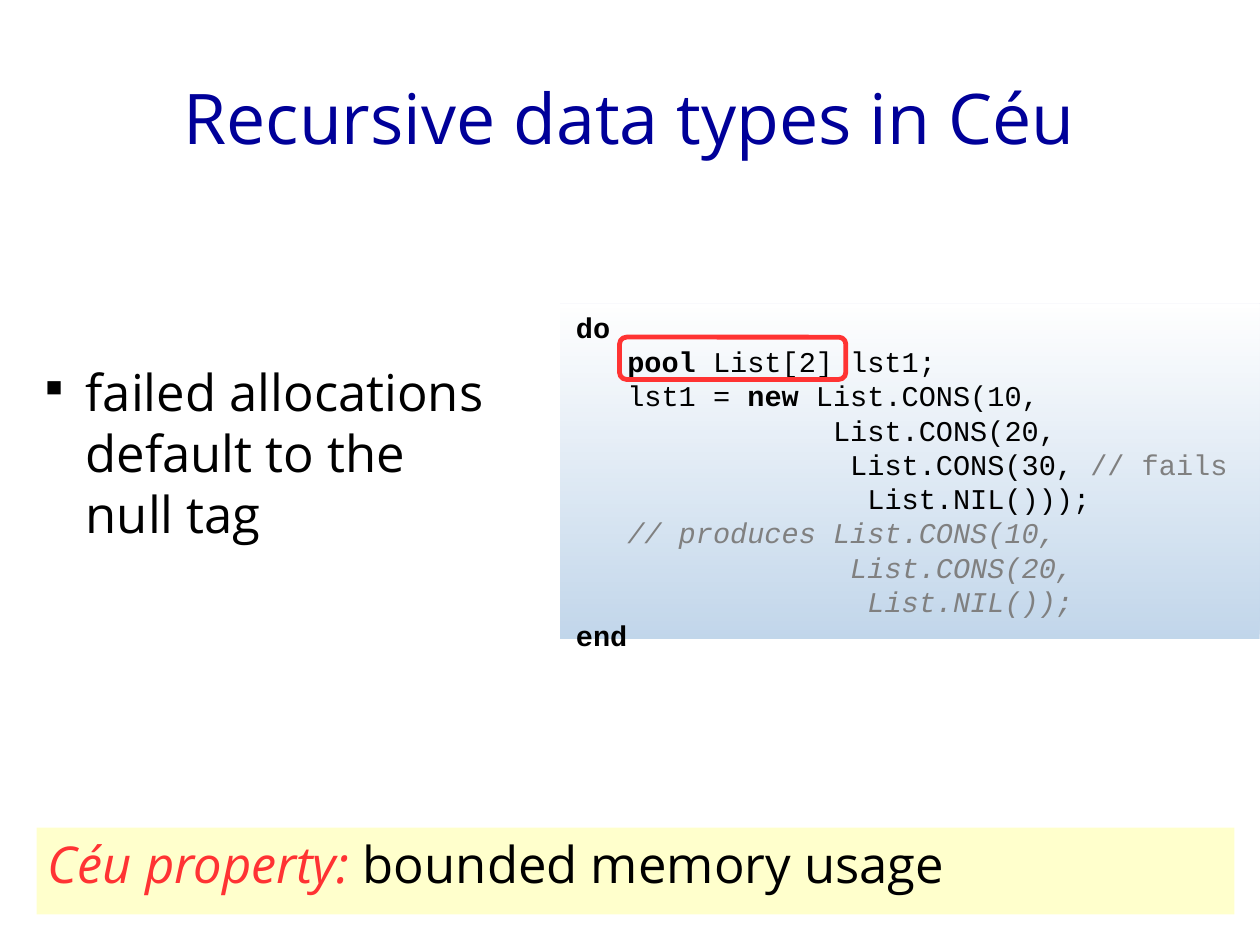
from dataclasses import dataclass

import pptx
import pptx.dml.color
import pptx.enum.shapes
import pptx.enum.text
import pptx.oxml
import pptx.oxml.ns
import pptx.util
from pptx.util import Inches

ALIGN = pptx.enum.text.PP_ALIGN
ANCHOR = pptx.enum.text.MSO_ANCHOR
SHAPE = pptx.enum.shapes.MSO_SHAPE
NS = pptx.oxml.ns.nsdecls("a")
CM_PER_INCH = 2.54


@dataclass(frozen=True)
class Theme:
    sans: str = "Open Sans"
    mono: str = "Courier New"
    title_size: int = 44
    body_size: int = 32
    code_size: int = 18
    black: str = "000000"
    navy: str = "000099"
    red: str = "FF3333"
    gray: str = "808080"
    yellow: str = "FFFFCC"
    blue: str = "6699CC"
    white: str = "FFFFFF"


@dataclass(frozen=True)
class Box:
    left: float
    top: float
    width: float
    height: float

    def emu(self) -> tuple:
        return tuple(Inches(v) for v in (self.left, self.top, self.width, self.height))


@dataclass(frozen=True)
class Span:
    text: str
    bold: bool = False
    italic: bool = False
    color: str = Theme.black


THEME = Theme()


def rgb(color: str) -> pptx.dml.color.RGBColor:
    return pptx.dml.color.RGBColor.from_string(color)


def add_text(slide, box: Box, paragraphs: list, *, size: int, font: str,
             align=ALIGN.LEFT, anchor=ANCHOR.TOP, margins=(0.1, 0.05)):
    """Add a text box; each paragraph is a list of spans, "\n" breaks a line."""
    tf = slide.shapes.add_textbox(*box.emu()).text_frame
    tf.word_wrap = True
    tf.vertical_anchor = anchor
    tf.margin_left = tf.margin_right = Inches(margins[0])
    tf.margin_top = tf.margin_bottom = Inches(margins[1])
    for i, spans in enumerate(paragraphs):
        p = tf.add_paragraph() if i else tf.paragraphs[0]
        p.alignment = align
        for span in spans:
            for j, line in enumerate(span.text.split("\n")):
                if j:
                    p.add_line_break()
                r = p.add_run()
                r.text = line
                r.font.name = font
                r.font.size = pptx.util.Pt(size)
                r.font.bold = span.bold
                r.font.italic = span.italic
                r.font.color.rgb = rgb(span.color)
        # Line breaks take the size of their text
        for br in p._p.findall(pptx.oxml.ns.qn("a:br")):
            br.append(pptx.oxml.parse_xml(f'<a:rPr {NS} sz="{size * 100}"/>'))
    return tf


def add_panel(slide, box: Box, kind=SHAPE.RECTANGLE, fill: str = "", line: str = ""):
    sp = slide.shapes.add_shape(kind, *box.emu())
    sp.shadow.inherit = False
    if fill:
        sp.fill.solid()
        sp.fill.fore_color.rgb = rgb(fill)
    else:
        sp.fill.background()
    if line:
        sp.line.color.rgb = rgb(line)
        sp.line.width = pptx.util.Pt(3)
    else:
        sp.line.fill.background()
    return sp


def set_gradient(sp, bottom: str, top: str, opacity: int) -> None:
    """Fill a shape from bottom to top with translucent colours."""
    stops = "".join(
        f'<a:gs pos="{pos}"><a:srgbClr val="{color}">'
        f'<a:alpha val="{opacity * 1000}"/></a:srgbClr></a:gs>'
        for pos, color in ((0, bottom), (100000, top)))
    grad = pptx.oxml.parse_xml(
        f'<a:gradFill {NS} rotWithShape="1"><a:gsLst>{stops}</a:gsLst>'
        '<a:lin ang="16200000" scaled="0"/></a:gradFill>')
    sp_pr = sp._element.spPr
    sp_pr.replace(sp_pr.find(pptx.oxml.ns.qn("a:noFill")), grad)


def set_bullet(p, indent: float, hanging: float) -> None:
    p_pr = p._p.get_or_add_pPr()
    p_pr.set("marL", str(Inches(indent)))
    p_pr.set("indent", str(-Inches(hanging)))
    for xml in (f'<a:buClr {NS}><a:srgbClr val="{THEME.black}"/></a:buClr>',
                f'<a:buSzPct {NS} val="45000"/>',
                f'<a:buChar {NS} char="■"/>'):
        p_pr.append(pptx.oxml.parse_xml(xml))
    p.space_after = pptx.util.Pt(14.2)


CODE = [
    [Span("do", bold=True)],
    [Span("   "), Span("pool", bold=True), Span(" List[2] lst1;")],
    [Span("   lst1 = "), Span("new", bold=True), Span(" List.CONS(10,")],
    [Span("               List.CONS(20,")],
    [Span("                List.CONS(30,"), Span(" // fails", color=THEME.gray)],
    [Span("                 List.NIL()));\n   "),
     Span("// produces List.CONS(10,\n                List.CONS(20,\n"
          "                 List.NIL());", italic=True, color=THEME.gray)],
    [Span("end", bold=True)],
]


def main() -> None:
    # Slide of 28 by 21 cm
    prs = pptx.Presentation()
    prs.slide_width = Inches(28 / CM_PER_INCH)
    prs.slide_height = Inches(21 / CM_PER_INCH)
    s = prs.slides.add_slide(prs.slide_layouts[6])

    # Panels behind the property and the code
    add_panel(s, Box(0.32, 7.24, 10.48, 0.76), fill=THEME.yellow)
    code_panel = add_panel(s, Box(4.9, 2.66, 6.12, 2.93))
    set_gradient(code_panel, THEME.blue, THEME.white, 40)

    # Title
    add_text(s, Box(0.55, 0.33, 9.92, 1.38),
             [[Span("Recursive data types in Céu", color=THEME.navy)]],
             size=THEME.title_size, font=THEME.sans, align=ALIGN.CENTER,
             anchor=ANCHOR.MIDDLE, margins=(0, 0))

    # Bullet
    tf = add_text(s, Box(0.28, 3.16, 4.84, 2.67),
                  [[Span("failed allocations\ndefault to the\nnull tag")]],
                  size=THEME.body_size, font=THEME.sans, margins=(0, 0))
    set_bullet(tf.paragraphs[0], 0.47, 0.35)

    # Code listing
    add_text(s, Box(4.94, 2.66, 6.07, 3), CODE, size=THEME.code_size, font=THEME.mono)

    # Property
    add_text(s, Box(0.32, 7.24, 10.48, 0.7),
             [[Span("Céu property:", italic=True, color=THEME.red),
               Span(" bounded memory usage")]],
             size=THEME.body_size, font=THEME.sans)

    # Frame around the pool declaration
    add_panel(s, Box(5.42, 2.95, 1.98, 0.37), SHAPE.ROUNDED_RECTANGLE, line=THEME.red)

    prs.save("out.pptx")


if __name__ == "__main__":
    main()
